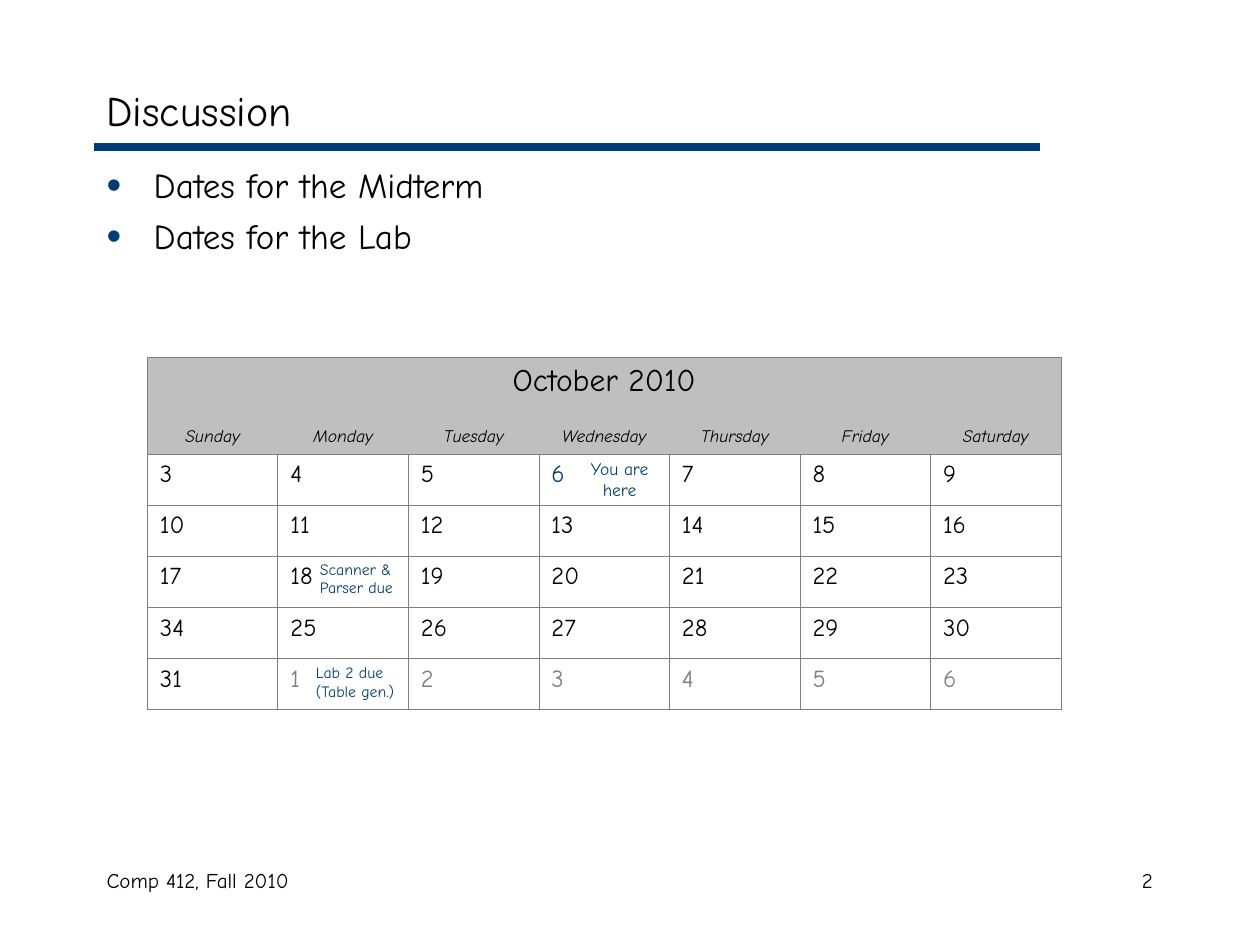
import pptx
import pptx.dml.color
import pptx.enum.shapes
import pptx.enum.text
import pptx.oxml.ns
import pptx.util
from lxml import etree

Cm, Pt = pptx.util.Cm, pptx.util.Pt
RGBColor = pptx.dml.color.RGBColor
Align = pptx.enum.text.PP_ALIGN
Anchor = pptx.enum.text.MSO_ANCHOR
qn = pptx.oxml.ns.qn

FONT = "Comic Neue"
BLACK = RGBColor(0x00, 0x00, 0x00)
NAVY = RGBColor(0x00, 0x3C, 0x75)
GRAY = RGBColor(0x7F, 0x7F, 0x7F)
SILVER = RGBColor(0xBF, 0xBF, 0xBF)
WHITE = RGBColor(0xFF, 0xFF, 0xFF)

DAYS = ["Sunday", "Monday", "Tuesday", "Wednesday", "Thursday", "Friday", "Saturday"]
WEEKS = [
    [3, 4, 5, 6, 7, 8, 9],
    [10, 11, 12, 13, 14, 15, 16],
    [17, 18, 19, 20, 21, 22, 23],
    [34, 25, 26, 27, 28, 29, 30],
    [31, 1, 2, 3, 4, 5, 6],
]
TODAY = (0, 3)


def add_bullet(para):
    properties = para._p.get_or_add_pPr()
    properties.set("marL", str(Cm(0.95)))
    properties.set("indent", str(-Cm(0.95)))
    color = etree.SubElement(properties, qn("a:buClr"))
    etree.SubElement(color, qn("a:srgbClr"), val=str(NAVY))
    etree.SubElement(properties, qn("a:buSzPct"), val="120000")
    etree.SubElement(properties, qn("a:buFont"), typeface="Arial")
    etree.SubElement(properties, qn("a:buChar"), char="•")


def write_text(frame, text, size, color=BLACK, align=Align.LEFT, italic=False,
               bullet=False, space=0):
    """Fill a text frame, one paragraph for each line of text."""
    for index, line in enumerate(text.split("\n")):
        para = frame.paragraphs[0] if index == 0 else frame.add_paragraph()
        para.alignment = align
        if index:
            para.space_before = Pt(space)
        if bullet:
            add_bullet(para)
        span = para.add_run()
        span.text = line
        span.font.name = FONT
        span.font.size = Pt(size)
        span.font.italic = italic
        span.font.color.rgb = color


def add_text(page, text, left, top, width, height, size, anchor=Anchor.TOP,
             grow=False, **style):
    box = page.shapes.add_textbox(Cm(left), Cm(top), Cm(width), Cm(height))
    frame = box.text_frame
    frame.word_wrap = True
    frame.vertical_anchor = anchor
    if grow:
        frame.auto_size = pptx.enum.text.MSO_AUTO_SIZE.SHAPE_TO_FIT_TEXT
    write_text(frame, text, size, **style)


def add_rule(page, left, top, right):
    rule = page.shapes.add_connector(
        pptx.enum.shapes.MSO_CONNECTOR.STRAIGHT, Cm(left), Cm(top), Cm(right), Cm(top))
    rule.line.color.rgb = NAVY
    rule.line.width = Pt(4.5)
    etree.SubElement(rule._element.spPr, qn("a:effectLst"))


def format_cell(cell, sides, fill=None):
    """Draw the named sides (L, R, T, B), clear the others and set the fill."""
    properties = cell._tc.get_or_add_tcPr()
    for side in "LRTB":
        border = etree.SubElement(properties, qn("a:ln" + side), w=str(Pt(0.45)))
        if side in sides:
            solid = etree.SubElement(border, qn("a:solidFill"))
            etree.SubElement(solid, qn("a:srgbClr"), val=str(GRAY))
        else:
            etree.SubElement(border, qn("a:noFill"))
    if fill is None:
        cell.fill.background()
    else:
        cell.fill.solid()
        cell.fill.fore_color.rgb = fill


def add_calendar(page, left, top, width):
    heights = [1.27, 0.69] + [1.03] * len(WEEKS)
    table = page.shapes.add_table(len(heights), len(DAYS), Cm(left), Cm(top),
                                  Cm(width), Cm(sum(heights))).table
    table.first_row = False
    table.horz_banding = False
    for row, height in zip(table.rows, heights):
        row.height = Cm(height)
    for column in table.columns:
        column.width = Cm(width / len(DAYS))

    # Month and weekday heading
    last = len(DAYS) - 1
    for index, day in enumerate(DAYS):
        outer = {0: "L", last: "R"}.get(index, "")
        format_cell(table.cell(0, index), "LTR" if index == 0 else "T" + outer, SILVER)
        cell = table.cell(1, index)
        format_cell(cell, "B" + outer, SILVER)
        write_text(cell.text_frame, day, 10, align=Align.CENTER, italic=True)
    month = table.cell(0, 0)
    month.merge(table.cell(0, last))
    write_text(month.text_frame, "October 2010", 18, align=Align.CENTER)

    # Dates; those of the next month are gray
    for week, dates in enumerate(WEEKS):
        for day, date in enumerate(dates):
            next_month = week == len(WEEKS) - 1 and day > 0
            color = NAVY if (week, day) == TODAY else GRAY if next_month else BLACK
            cell = table.cell(week + 2, day)
            format_cell(cell, "LRTB")
            write_text(cell.text_frame, str(date), 14, color=color)


def main():
    deck = pptx.Presentation()
    deck.slide_width, deck.slide_height = Cm(25.4), Cm(19.05)
    page = deck.slides.add_slide(deck.slide_layouts[6])
    page.background.fill.solid()
    page.background.fill.fore_color.rgb = WHITE

    # Heading and topics
    add_rule(page, 1.9, 2.96, 20.96)
    add_text(page, "Discussion", 1.9, 1.48, 21.59, 1.48, 24, anchor=Anchor.MIDDLE)
    add_text(page, "Dates for the Midterm\nDates for the Lab", 1.9, 3.18, 21.59, 13.76,
             20, bullet=True, space=5)

    # Footer
    add_text(page, "Comp 412, Fall 2010", 1.9, 17.36, 8.05, 1.27, 12)
    add_text(page, "2", 18.2, 17.36, 5.29, 1.27, 12, align=Align.RIGHT)

    # Calendar with its notes
    add_calendar(page, 2.97, 7.2, 18.42)
    add_text(page, "Scanner & Parser due", 6.2, 11.15, 2.33, 1.02, 9, color=NAVY, grow=True)
    add_text(page, "Lab 2 due\n(Table gen.)", 6.12, 13.24, 2.33, 1.02, 9, color=NAVY, grow=True)
    add_text(page, "You are here", 11.43, 9.1, 2.12, 1.12, 10, color=NAVY,
             align=Align.CENTER, grow=True)

    deck.save("out.pptx")


if __name__ == "__main__":
    main()
